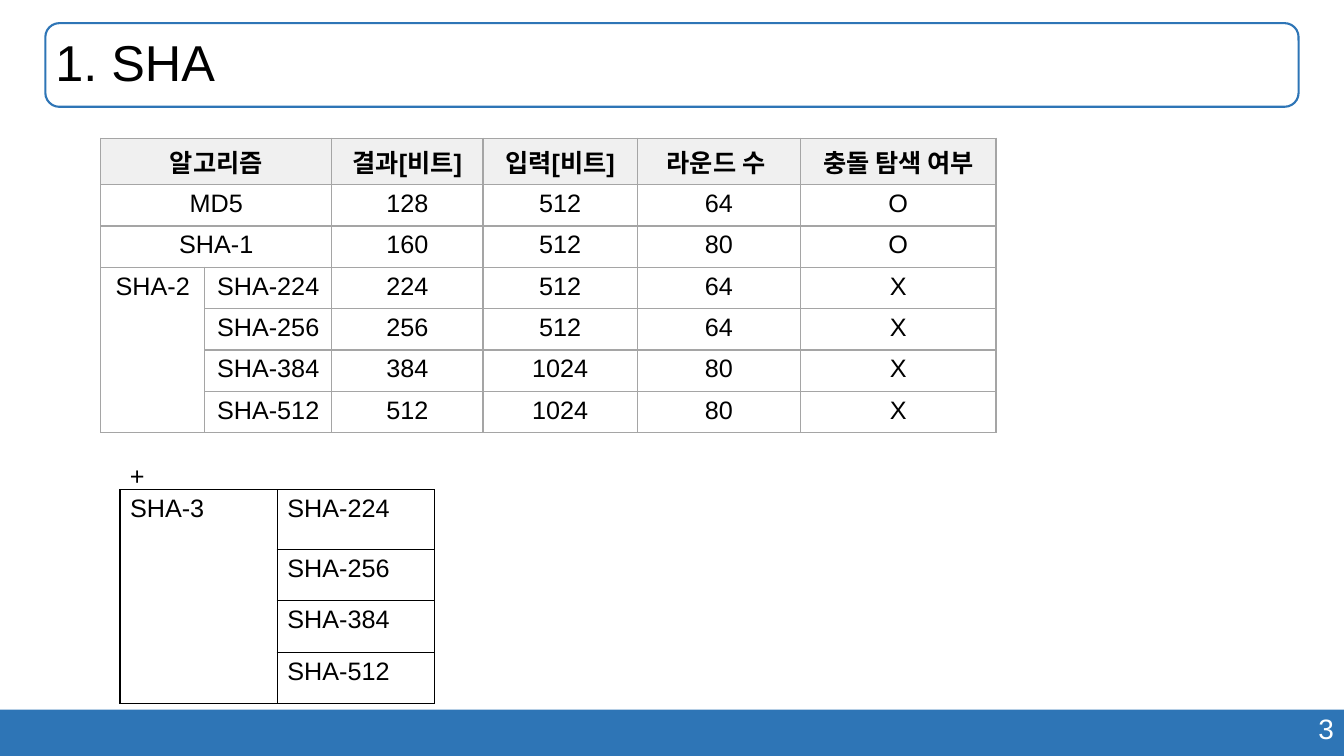
from dataclasses import dataclass
from typing import Any, Optional

from lxml.etree import SubElement
from pptx import Presentation
from pptx.dml.color import RGBColor
from pptx.enum.shapes import MSO_SHAPE
from pptx.enum.text import MSO_ANCHOR, MSO_AUTO_SIZE, PP_ALIGN
from pptx.oxml.ns import qn
from pptx.util import Inches, Pt

COLORS = {"blue": "2E75B6", "white": "FFFFFF", "black": "000000", "gray": "A5A5A5", "header": "F0F0F0"}
HASH_SIZES = ["224", "256", "384", "512"]


@dataclass
class Box:
    """Position and size in inches."""

    left: float
    top: float
    width: float
    height: float

    def lengths(self) -> list[int]:
        """Return the four lengths in slide units."""
        return [Inches(value) for value in (self.left, self.top, self.width, self.height)]


@dataclass
class Grid:
    """Contents and look of a table; the first row is the header when header_fill is set."""

    box: Box
    columns: list[float]
    heights: list[float]
    rows: list[list[str]]
    merges: list[tuple[int, int, int, int]]
    border: str
    align: PP_ALIGN
    fill: Optional[str] = None
    header_fill: Optional[str] = None


@dataclass
class Label:
    """A text box with one paragraph."""

    box: Box
    text: str
    size: int
    color: str
    align: PP_ALIGN


def color(name: str) -> RGBColor:
    """Look up a named colour."""
    return RGBColor.from_string(COLORS[name])


def apply(target: Any, values: dict[str, Any]) -> None:
    """Set each attribute of the target."""
    for name, value in values.items():
        setattr(target, name, value)


def write(frame: Any, text: str, size: int, tone: str, align: PP_ALIGN, bold: bool = False) -> Any:
    """Fill a text frame with one formatted paragraph."""
    frame.text = text
    paragraph = frame.paragraphs[0]
    paragraph.alignment = align
    apply(paragraph.font, {"size": Pt(size), "name": "Arial", "bold": bold})
    paragraph.font.color.rgb = color(tone)
    return paragraph


def add_panel(slide: Any, kind: MSO_SHAPE, box: Box, fill: Optional[str], line: Optional[str]) -> None:
    """Draw a plain shape."""
    shape = slide.shapes.add_shape(kind, *box.lengths())
    shape.shadow.inherit = False
    for part, tone in ((shape.fill, fill), (shape.line.fill, line)):
        if tone:
            part.solid()
            part.fore_color.rgb = color(tone)
        else:
            part.background()
    if line:
        shape.line.width = Pt(1.5)


def add_label(slide: Any, label: Label) -> None:
    """Draw a text box."""
    shape = slide.shapes.add_textbox(*label.box.lengths())
    shape.text_frame.word_wrap = True
    write(shape.text_frame, label.text, label.size, label.color, label.align)


def add_borders(cell: Any, tone: str) -> None:
    """Give a cell a thin line on all four sides."""
    properties = cell._tc.get_or_add_tcPr()
    for side in ("a:lnL", "a:lnR", "a:lnT", "a:lnB"):
        line = SubElement(properties, qn(side), w=str(Pt(1)))
        SubElement(SubElement(line, qn("a:solidFill")), qn("a:srgbClr"), val=COLORS[tone])


def add_grid(slide: Any, grid: Grid) -> None:
    """Draw a table with its merged cells."""
    frame = slide.shapes.add_table(len(grid.rows), len(grid.columns), *grid.box.lengths())
    table = frame.table
    apply(table, {"first_row": False, "horz_banding": False})
    for column, width in zip(table.columns, grid.columns):
        column.width = Inches(width)
    for row, height in zip(table.rows, grid.heights):
        row.height = Inches(height)
    for row_index, texts in enumerate(grid.rows):
        is_header = row_index == 0 and grid.header_fill is not None
        fill = grid.header_fill if is_header else grid.fill
        for column_index, text in enumerate(texts):
            cell = table.cell(row_index, column_index)
            add_borders(cell, grid.border)
            if fill:
                cell.fill.solid()
                cell.fill.fore_color.rgb = color(fill)
            else:
                cell.fill.background()
            write(cell.text_frame, text, 18, "black", grid.align, is_header)
    for top, left, bottom, right in grid.merges:
        table.cell(top, left).merge(table.cell(bottom, right))


def set_title(slide: Any, box: Box, text: str) -> None:
    """Place and format the title in front of its frame."""
    title = slide.shapes.title
    apply(title, dict(zip(("left", "top", "width", "height"), box.lengths())))
    frame = title.text_frame
    apply(frame, {"word_wrap": True, "auto_size": MSO_AUTO_SIZE.NONE, "vertical_anchor": MSO_ANCHOR.MIDDLE})
    write(frame, text, 36, "black", PP_ALIGN.LEFT).line_spacing = 0.9
    title.element.getparent().append(title.element)


def family(name: str) -> list[list[str]]:
    """List the variants of a hash family, naming it in the first row only."""
    return [[name if index == 0 else "", f"SHA-{size}"] for index, size in enumerate(HASH_SIZES)]


def main() -> None:
    """Build and save the slide."""
    presentation = Presentation()
    apply(presentation, {"slide_width": Inches(13.33), "slide_height": Inches(7.5)})
    slide = presentation.slides.add_slide(presentation.slide_layouts[5])
    title_box = Box(0.45, 0.23, 12.43, 0.83)
    add_panel(slide, MSO_SHAPE.RECTANGLE, Box(0, 7.04, 13.33, 0.46), "blue", None)
    add_label(slide, Label(Box(9.43, 7.01, 3.9, 0.44), "3", 20, "white", PP_ALIGN.RIGHT))
    add_panel(slide, MSO_SHAPE.ROUNDED_RECTANGLE, title_box, None, "blue")
    set_title(slide, title_box, "1. SHA")

    sha2_details = [["512", "64", "X"]] * 2 + [["1024", "80", "X"]] * 2
    sha2_rows = [
        names + [size] + details for names, size, details in zip(family("SHA-2"), HASH_SIZES, sha2_details)
    ]
    add_grid(slide, Grid(
        box=Box(1, 1.37, 8.87, 2.84),
        columns=[1.03, 1.26, 1.5, 1.53, 1.62, 1.94],
        heights=[0.41] * 7,
        rows=[
            ["알고리즘", "", "결과[비트]", "입력[비트]", "라운드 수 ", "충돌 탐색 여부"],
            ["MD5", "", "128", "512", "64", "O"],
            ["SHA-1", "", "160", "512", "80", "O"],
            *sha2_rows,
        ],
        merges=[(row, 0, row, 1) for row in range(3)] + [(3, 0, 6, 0)],
        border="gray",
        align=PP_ALIGN.CENTER,
        fill="white",
        header_fill="header",
    ))
    add_label(slide, Label(Box(1.19, 4.52, 7.5, 0.4), "+", 18, "black", PP_ALIGN.LEFT))
    add_grid(slide, Grid(
        box=Box(1.19, 4.86, 3.11, 2.12),
        columns=[1.56] * 2,
        heights=[0.59] + [0.51] * 3,
        rows=family("SHA-3"),
        merges=[(0, 0, 3, 0)],
        border="black",
        align=PP_ALIGN.LEFT,
    ))
    presentation.save("out.pptx")


if __name__ == "__main__":
    main()
